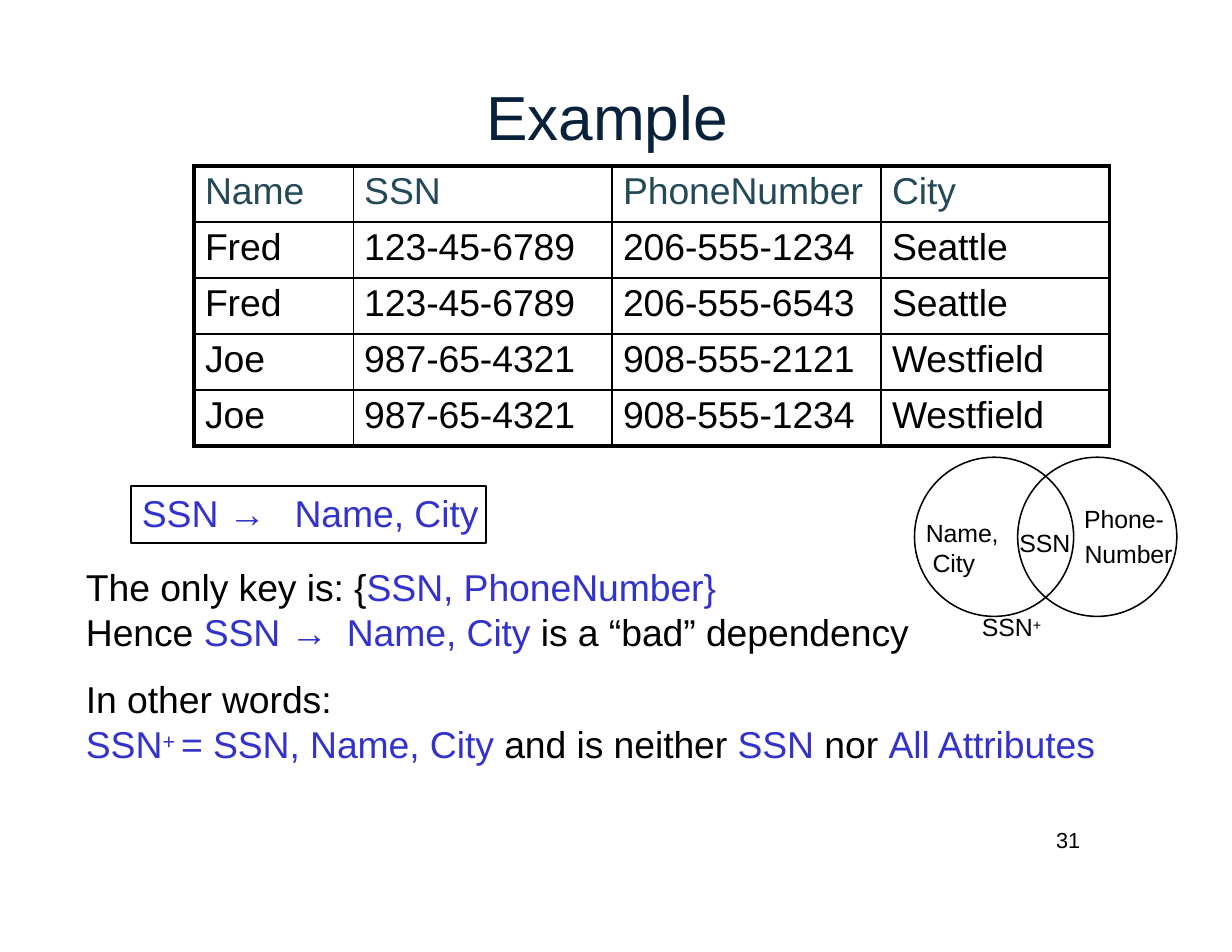
import dataclasses
import lxml.etree
import pptx
import pptx.dml.color
import pptx.enum.shapes
import pptx.enum.text
import pptx.oxml.ns
import pptx.util

Cm = pptx.util.Cm
Pt = pptx.util.Pt
qn = pptx.oxml.ns.qn


@dataclasses.dataclass(frozen=True)
class Theme:
    font: str = "Arial"
    ink: str = "000000"
    accent: str = "3333CC"
    heading: str = "09213B"
    header: str = "244A58"
    title_size: int = 40
    body_size: int = 24
    label_size: int = 16
    number_size: int = 14
    superscript: int = 25000
    tracking: int = -5
    hairline: float = 1
    row_line: float = 1.5
    right_line: float = 2.25
    frame_line: float = 3


THEME = Theme()
RAISED = {"baseline": THEME.superscript}

ROWS = [
    ["Name", "SSN", "PhoneNumber", "City"],
    ["Fred", "123-45-6789", "206-555-1234", "Seattle"],
    ["Fred", "123-45-6789", "206-555-6543", "Seattle"],
    ["Joe", "987-65-4321", "908-555-2121", "Westfield"],
    ["Joe", "987-65-4321", "908-555-1234", "Westfield"],
]
COLUMN_WIDTHS = [3.61, 5.87, 6.1, 5.18]
ROW_HEIGHT = 1.27


def rgb(color):
    return pptx.dml.color.RGBColor.from_string(color)


def format_span(span, size, color, tracking=THEME.tracking, baseline=0):
    span.font.name = THEME.font
    span.font.size = Pt(size)
    span.font.color.rgb = rgb(color)
    properties = span._r.get_or_add_rPr()
    properties.set("spc", str(tracking))
    if baseline:
        properties.set("baseline", str(baseline))


def format_para(para, indent=0.03, before=1, line=None):
    para.alignment = pptx.enum.text.PP_ALIGN.LEFT
    para.space_before = Pt(before)
    if line:
        para.line_spacing = Pt(line)
    properties = para._p.get_or_add_pPr()
    properties.set("marL", str(Cm(indent)))
    properties.set("indent", "0")


def format_frame(frame, top=0.03):
    frame.word_wrap = True
    frame.vertical_anchor = pptx.enum.text.MSO_ANCHOR.TOP
    frame.margin_left = frame.margin_right = frame.margin_bottom = 0
    frame.margin_top = Cm(top)


def write_para(para, spans, size, **layout):
    for text, color, *styles in spans:
        span = para.add_run()
        span.text = text
        format_span(span, size, color, **(styles[0] if styles else {}))
    format_para(para, **layout)


def add_text(page, place, size, lines):
    box = page.shapes.add_textbox(*map(Cm, place))
    frame = box.text_frame
    format_frame(frame)
    for index, (spans, layout) in enumerate(lines):
        para = frame.add_paragraph() if index else frame.paragraphs[0]
        write_para(para, spans, size, **layout)


def add_title(page, text):
    title = page.shapes.title
    title.left, title.top, title.width, title.height = map(Cm, (11, 1.75, 5.56, 1.78))
    format_frame(title.text_frame)
    title.text_frame.text = text
    para = title.text_frame.paragraphs[0]
    format_para(para)
    format_span(para.runs[0], THEME.title_size, THEME.heading)


def add_outline(page, kind, place):
    shape = page.shapes.add_shape(kind, *map(Cm, place))
    shape.shadow.inherit = False
    shape.fill.background()
    shape.line.color.rgb = rgb(THEME.ink)
    shape.line.width = Pt(THEME.hairline)
    return shape


def set_borders(cell, widths):
    properties = cell._tc.get_or_add_tcPr()
    for index, (side, width) in enumerate(zip("LRTB", widths)):
        line = lxml.etree.Element(qn(f"a:ln{side}"), w=str(Pt(width)))
        fill = lxml.etree.SubElement(line, qn("a:solidFill"))
        lxml.etree.SubElement(fill, qn("a:srgbClr"), val=THEME.ink)
        properties.insert(index, line)


def add_people_table(page):
    last_row, last_column = len(ROWS) - 1, len(COLUMN_WIDTHS) - 1
    frame = page.shapes.add_table(
        len(ROWS), len(COLUMN_WIDTHS), Cm(4.4), Cm(3.76),
        Cm(sum(COLUMN_WIDTHS)), Cm(ROW_HEIGHT * len(ROWS)))
    table = frame.table
    table.first_row = table.horz_banding = False
    for column, width in zip(table.columns, COLUMN_WIDTHS):
        column.width = Cm(width)
    for row, values in enumerate(ROWS):
        table.rows[row].height = Cm(ROW_HEIGHT)
        for column, value in enumerate(values):
            cell = table.cell(row, column)
            cell.margin_left = cell.margin_right = cell.margin_bottom = 0
            cell.margin_top = Cm(0.12)
            cell.fill.background()
            set_borders(cell, (
                THEME.hairline if column else THEME.frame_line,
                THEME.right_line if column == last_column else THEME.hairline,
                THEME.row_line if row else THEME.frame_line,
                THEME.frame_line if row == last_row else THEME.row_line))
            cell.text_frame.text = value
            para = cell.text_frame.paragraphs[0]
            format_para(para, indent=0.25, before=3)
            format_span(para.runs[0], THEME.body_size,
                        THEME.ink if row else THEME.header)


def dependency_spans(gap):
    return [("SSN →", THEME.accent), (" ", THEME.accent, {"tracking": gap}),
            ("Name, City", THEME.accent)]


def add_dependency(page):
    box = add_outline(page, pptx.enum.shapes.MSO_SHAPE.RECTANGLE,
                      (2.97, 11.02, 8.05, 1.3))
    format_frame(box.text_frame, top=0.1)
    write_para(box.text_frame.paragraphs[0], dependency_spans(1170),
               THEME.body_size, indent=0.25, before=3)


def add_explanation(page):
    ink, accent = THEME.ink, THEME.accent
    add_text(page, (1.92, 12.76, 19.3, 3.63), THEME.body_size, [
        ([("The only key is: {", ink), ("SSN, PhoneNumber}", accent)], {}),
        ([("Hence ", ink), *dependency_spans(550),
          (" is a “bad” dependency", ink)], {"before": 0}),
        ([("In other words:", ink)], {"before": 14.4}),
    ])
    add_text(page, (1.85, 16.33, 23.4, 1.09), THEME.body_size, [
        ([("SSN", accent), ("+ ", accent, RAISED), ("= SSN, Name, City ", accent),
          ("and is neither ", ink), ("SSN ", accent), ("nor ", ink),
          ("All Attributes", accent)], {"indent": 0.1}),
    ])


def add_venn(page):
    ink, size = THEME.ink, THEME.label_size
    for left in (20.74, 23.08):
        add_outline(page, pptx.enum.shapes.MSO_SHAPE.OVAL, (left, 10.37, 3.61, 3.61))
    add_text(page, (20.97, 11.72, 1.73, 1.42), size, [
        ([("Name,", ink)], {}),
        ([("City", ink)], {"indent": 0.18, "before": 0}),
    ])
    add_text(page, (23.09, 11.51, 3.35, 1.17), size, [
        ([("Phone-", ink)], {"indent": 1.5, "line": 15.6}),
        ([("SSN", ink)], {"before": 0, "line": 15.6}),
    ])
    add_text(page, (24.57, 12.19, 2.08, 0.76), size, [([("Number", ink)], {})])
    add_text(page, (22.17, 13.84, 1.6, 0.76), size, [
        ([("SSN", ink), ("+", ink, RAISED)], {"indent": 0.1}),
    ])


def main():
    deck = pptx.Presentation()
    deck.slide_width, deck.slide_height = Cm(27.94), Cm(21.59)
    page = deck.slides.add_slide(deck.slide_layouts[5])
    add_title(page, "Example")
    add_explanation(page)
    add_dependency(page)
    add_people_table(page)
    add_venn(page)
    add_text(page, (23.85, 18.73, 0.76, 0.63), THEME.number_size, [
        ([("31", THEME.ink)], {"indent": 0.1, "before": 0, "line": 16.4}),
    ])
    deck.save("out.pptx")


if __name__ == "__main__":
    main()
